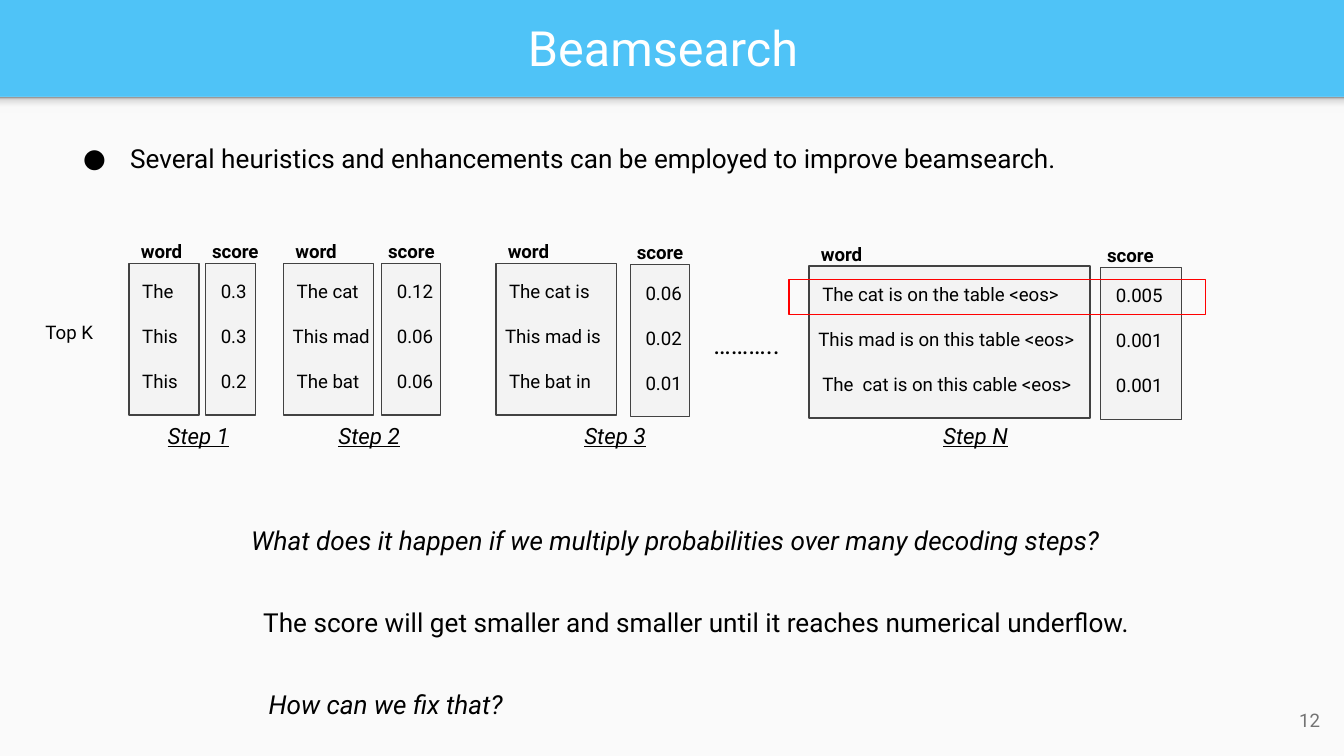
"""Build the beamsearch slide with its score tables for each decoding step."""
from copy import deepcopy

from pptx import Presentation
from pptx.dml.color import RGBColor
from pptx.enum.shapes import MSO_SHAPE
from pptx.enum.text import MSO_ANCHOR, PP_ALIGN
from pptx.oxml import parse_xml
from pptx.oxml.ns import nsdecls, qn
from pptx.util import Inches, Pt

prs = Presentation()
prs.slide_width, prs.slide_height = Inches(10), Inches(5.625)
CELL = prs.slide_width / 100
rgb = RGBColor.from_string
s = prs.slides.add_slide(prs.slide_layouts[6])
s.background.fill.solid()
s.background.fill.fore_color.rgb = rgb("4FC3F7")


def box(x, y, w, h, fill=None, line=None):
    sp = s.shapes.add_shape(MSO_SHAPE.RECTANGLE, *[round(v * CELL) for v in (x, y, w, h)])
    sp.shadow.inherit = False
    if fill:
        sp.fill.solid()
        sp.fill.fore_color.rgb = rgb(fill)
    else:
        sp.fill.background()
    if line:
        sp.line.color.rgb = rgb(line)
        sp.line.width = Pt(0.75)
    else:
        sp.line.fill.background()
    return sp


def text(x, y, w, h, words, size=10, color="000000", bold=None, italic=None,
         underline=None, align=None, anchor=MSO_ANCHOR.TOP):
    tf = s.shapes.add_textbox(*[round(v * CELL) for v in (x, y, w, h)]).text_frame
    tf.word_wrap = True
    tf.vertical_anchor = anchor
    tf.margin_left = tf.margin_right = tf.margin_top = tf.margin_bottom = Inches(0.1)
    p = tf.paragraphs[0]
    p.alignment = align
    r = p.add_run()
    r.text = words
    r.font.name, r.font.size, r.font.color.rgb = "Roboto", Pt(size), rgb(color)
    r.font.bold, r.font.italic, r.font.underline = bold, italic, underline
    return p


box(0, 7.2, 100, 49.05, "FAFAFA")
fill = box(0, 7.2, 100, 1.2, "F9F9F9").fill
fill.gradient()
fill.gradient_angle = 90
stops = s.shapes[-1]._element.spPr.find(".//" + qn("a:gsLst"))
for _ in range(2):
    stops.append(deepcopy(stops[0]))
shades = [(0, "F9F9F9"), (0.36, "F9F9F9"), (0.8, "DEDEDE"), (1, "999999")]
for stop, (position, shade) in zip(fill.gradient_stops, shades):
    stop.position, stop.color.rgb = position, rgb(shade)

text(1.1, 0.2, 96.5, 6.6, "Beamsearch", 26, "FFFFFF",
     align=PP_ALIGN.CENTER, anchor=MSO_ANCHOR.MIDDLE)
text(93.2, 51.4, 6, 4.3, "12", color="737373",
     align=PP_ALIGN.RIGHT, anchor=MSO_ANCHOR.MIDDLE)

steps = [
    ("Step 1", 11.5, (9.6, 19.6, 5.2), (15.3, 19.6, 3.7), 0,
     ["The", "This", "This"], ["0.3", "0.3", "0.2"]),
    ("Step 2", 24.2, (21.1, 19.6, 6.7), (28.4, 19.6, 4.4), 0.3,
     ["The cat", "This mad", "The bat"], ["0.12", "0.06", "0.06"]),
    ("Step 3", 42.5, (36.9, 19.6, 9), (46.9, 19.7, 4.4), 0.3,
     ["The cat is", "This mad is", "The bat in"], ["0.06", "0.02", "0.01"]),
    ("Step N", 69.2, (60.2, 19.8, 20.9), (81.9, 19.9, 6), 0.3,
     ["The cat is on the table <eos>", "This mad is on this table <eos>",
      "The  cat is on this cable <eos>"], ["0.005", "0.001", "0.001"]),
]
for step, step_x, word_col, score_col, outdent, words, scores in steps:
    for x, y, w in (word_col, score_col):
        box(x, y, w, 11.3, "F3F3F3", "424242")
    x, y, w = word_col
    text(x - 0.1, y - 2.6, 5.2, 3.7, "word", bold=True)
    for row, word in enumerate(words):
        text(x - outdent * (row == 1), y + 0.4 + 3.35 * row, w + 1.6, 3.7, word)
    x, y, w = score_col
    text(x - 0.5, y - 2.6, 6.7, 3.7, "score", bold=True)
    for row, score in enumerate(scores):
        text(x + 0.15, y + 0.4 + 3.35 * row, 6.7, 3.7, score)
    text(step_x, 30.4, 8.3, 4, step, 12, italic=True, underline=True)

text(2.4, 23, 6.7, 3.7, "Top K")
text(52.1, 23.4, 12.2, 4.4, "………..", 14)
box(58.7, 20.8, 31, 2.6, line="FF0000")

p = text(3.7, 9.6, 84, 4.4,
         "Several heuristics and enhancements can be employed to improve beamsearch.", 14)
pPr = p._p.get_or_add_pPr()
pPr.set("marL", str(Inches(0.5)))
pPr.set("indent", str(Inches(-0.35)))
for tag in ('buClr %s><a:srgbClr val="000000"/></a:buClr>',
            'buSzPts %s val="1400"/>', 'buFont %s typeface="Roboto"/>',
            'buChar %s char="●"/>'):
    pPr.append(parse_xml("<a:" + tag % nsdecls("a")))

text(17.7, 38, 78.1, 4.4,
     "What does it happen if we multiply probabilities over many decoding steps?",
     14, italic=True)
text(18.6, 44.1, 67.2, 4.4,
     "The score will get smaller and smaller until it reaches numerical underflow.", 14)
text(19, 50.2, 20.4, 4.4, "How can we fix that?", 14, italic=True)

prs.save("out.pptx")
